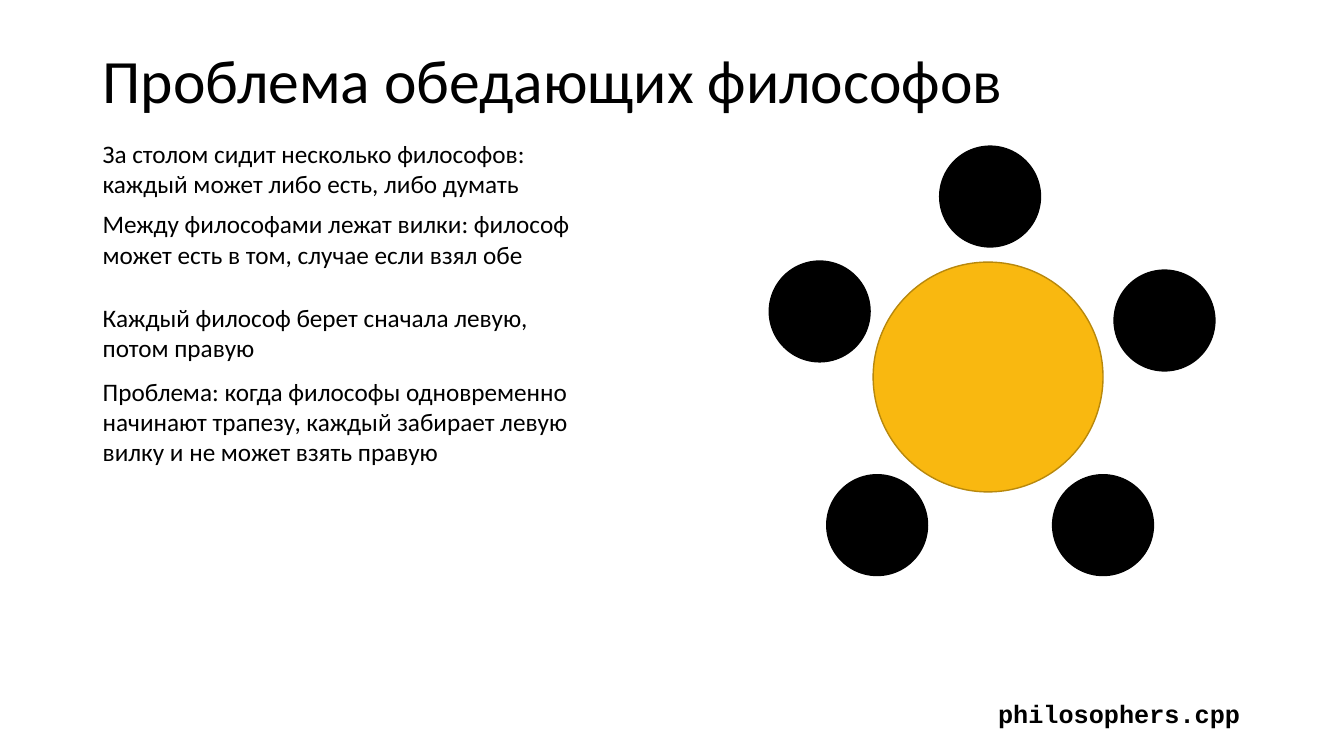
from pptx import Presentation
from pptx.dml.color import RGBColor as RGB
from pptx.enum.shapes import MSO_SHAPE as Shape
from pptx.enum.text import MSO_ANCHOR as Anchor
from pptx.util import Inches, Pt

COLORS = {"ink": "000000", "table": "F9B810", "rim": "B8880C"}

deck = Presentation()
deck.slide_width, deck.slide_height = Inches(13.33), Inches(7.5)
slide = deck.slides.add_slide(deck.slide_layouts[6])


def add_text(words, left, top, width, height, size=18, face="Calibri", bold=False):
    box = slide.shapes.add_textbox(Inches(left), Inches(top), Inches(width), Inches(height))
    frame = box.text_frame
    frame.word_wrap = True
    run = frame.paragraphs[0].add_run()
    run.text = words
    run.font.size, run.font.name, run.font.bold = Pt(size), face, bold
    run.font.color.rgb = RGB.from_string(COLORS["ink"])
    return frame


def add_disc(left, top, size, fill, line):
    disc = slide.shapes.add_shape(
        Shape.OVAL, Inches(left), Inches(top), Inches(size), Inches(size))
    disc.shadow.inherit = False
    disc.fill.solid()
    disc.fill.fore_color.rgb = RGB.from_string(COLORS[fill])
    disc.line.color.rgb = RGB.from_string(COLORS[line])
    disc.line.width = Pt(1)


# Title
title = add_text("Проблема обедающих философов", 0.92, 0.4, 11.5, 0.85, size=44)
title.vertical_anchor = Anchor.MIDDLE
title.paragraphs[0].line_spacing = 0.9

# Round table and the philosophers around it
add_disc(8.66, 2.6, 2.28, "table", "rim")
for left, top in [(7.63, 2.59), (9.32, 1.45), (11.05, 2.68), (8.2, 4.71), (10.44, 4.71)]:
    add_disc(left, top, 1, "ink", "ink")

# Statement of the problem
notes = [
    (1.32, 4.83, 0.71, "За столом сидит несколько философов: каждый может либо есть, либо думать"),
    (2.02, 4.83, 1.01, "Между философами лежат вилки: философ может есть в том, случае если взял обе"),
    (2.95, 4.83, 0.71, "Каждый философ берет сначала левую, потом правую"),
    (3.68, 4.91, 1.01, "Проблема: когда философы одновременно начинают трапезу, "
                       "каждый забирает левую вилку и не может взять правую"),
]
for top, width, height, words in notes:
    add_text(words, 0.92, top, width, height)

# Name of the code file
code = add_text("philosophers.cpp", 9.8, 6.88, 2.61, 0.4, face="Courier New", bold=True)
code.word_wrap = False

deck.save("out.pptx")
